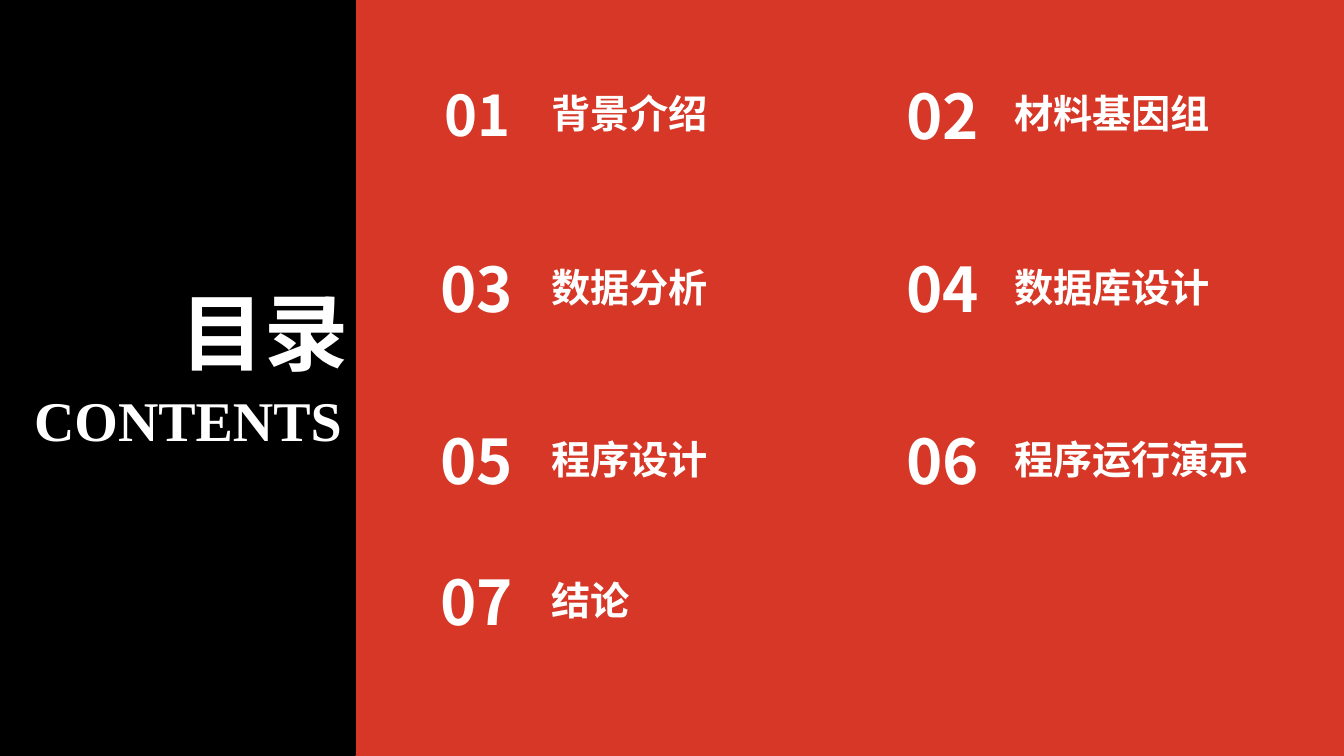
"""Build the contents slide: a black title panel beside seven numbered chapters on red."""
from lxml import etree
from pptx import Presentation
from pptx.dml.color import RGBColor
from pptx.enum import shapes, text
from pptx.oxml import ns
from pptx.util import Inches, Pt

COLORS = {"red": "D63726", "black": "000000", "white": "FFFFFF"}
SANS = "Noto Sans CJK SC"
SERIF = "Times New Roman"
LEFT, CENTER, RIGHT = text.PP_ALIGN.LEFT, text.PP_ALIGN.CENTER, text.PP_ALIGN.RIGHT


def place(box, left, top, width, height):
    box.left, box.top = Inches(left), Inches(top)
    box.width, box.height = Inches(width), Inches(height)


def write(box, words, size, align, font=SANS):
    frame = box.text_frame
    frame.text = words
    frame.word_wrap = True
    frame.auto_size = text.MSO_AUTO_SIZE.SHAPE_TO_FIT_TEXT
    frame.vertical_anchor = text.MSO_ANCHOR.TOP
    paragraph = frame.paragraphs[0]
    paragraph.alignment = align
    run = paragraph.runs[0]
    run.font.size = Pt(size)
    run.font.bold = True
    run.font.name = font
    run.font.color.rgb = RGBColor.from_string(COLORS["white"])
    east_asian = etree.SubElement(run.font._element, ns.qn("a:ea"))
    east_asian.set("typeface", font)


prs = Presentation()
prs.slide_width, prs.slide_height = Inches(13.33), Inches(7.5)
slide = prs.slides.add_slide(prs.slide_layouts[5])

for color, left, width in (("red", 3.51, 9.83), ("black", 0, 3.52)):
    panel = slide.shapes.add_shape(
        shapes.MSO_SHAPE.RECTANGLE, Inches(left), Inches(-0.01), Inches(width), Inches(7.5))
    panel.shadow.inherit = False
    panel.fill.solid()
    panel.fill.fore_color.rgb = RGBColor.from_string(COLORS[color])
    panel.line.color.rgb = RGBColor.from_string(COLORS[color])
    panel.line.width = Pt(1)

heading = slide.shapes.title
heading.element.getparent().append(heading.element)
place(heading, 1.02, 2.73, 2.54, 1.11)
write(heading, "目录", 60, RIGHT)

subheading = slide.shapes.add_textbox(0, 0, 0, 0)
place(subheading, -0.04, 3.78, 3.53, 0.77)
write(subheading, "CONTENTS", 40, RIGHT, SERIF)

chapters = ["背景介绍", "材料基因组", "数据分析", "数据库设计", "程序设计", "程序运行演示", "结论"]
column_lefts = [(4.24, 5.37), (8.86, 9.96)]
row_tops = [0.72, 2.44, 4.15, 5.55]

for index, chapter in enumerate(chapters):
    row, column = divmod(index, 2)
    number_left, label_left = column_lefts[column]
    top = row_tops[row]
    entry = slide.shapes.add_group_shape()

    label = entry.shapes.add_textbox(0, 0, 0, 0)
    place(label, label_left, top + 0.12, 2.62, 0.57)
    write(label, chapter, 28, LEFT)

    number = entry.shapes.add_textbox(0, 0, 0, 0)
    if index == 0:
        place(number, number_left + 0.04, top + 0.03, 0.91, 0.77)
    else:
        place(number, number_left, top, 0.98, 0.84)
    write(number, f"{index + 1:02d}", 40 if index == 0 else 44, CENTER)

    boxes = [label, number]
    entry_left = min(box.left for box in boxes)
    entry_top = min(box.top for box in boxes)
    entry_width = max(box.left + box.width for box in boxes) - entry_left
    entry_height = max(box.top + box.height for box in boxes) - entry_top
    frame = entry.element.grpSpPr.get_or_add_xfrm()
    for tag, first, second, values in (
            ("off", "x", "y", (entry_left, entry_top)),
            ("ext", "cx", "cy", (entry_width, entry_height)),
            ("chOff", "x", "y", (entry_left, entry_top)),
            ("chExt", "cx", "cy", (entry_width, entry_height))):
        corner = frame.find(ns.qn(f"a:{tag}"))
        if corner is None:
            corner = etree.SubElement(frame, ns.qn(f"a:{tag}"))
        corner.set(first, str(values[0]))
        corner.set(second, str(values[1]))

prs.save("out.pptx")
